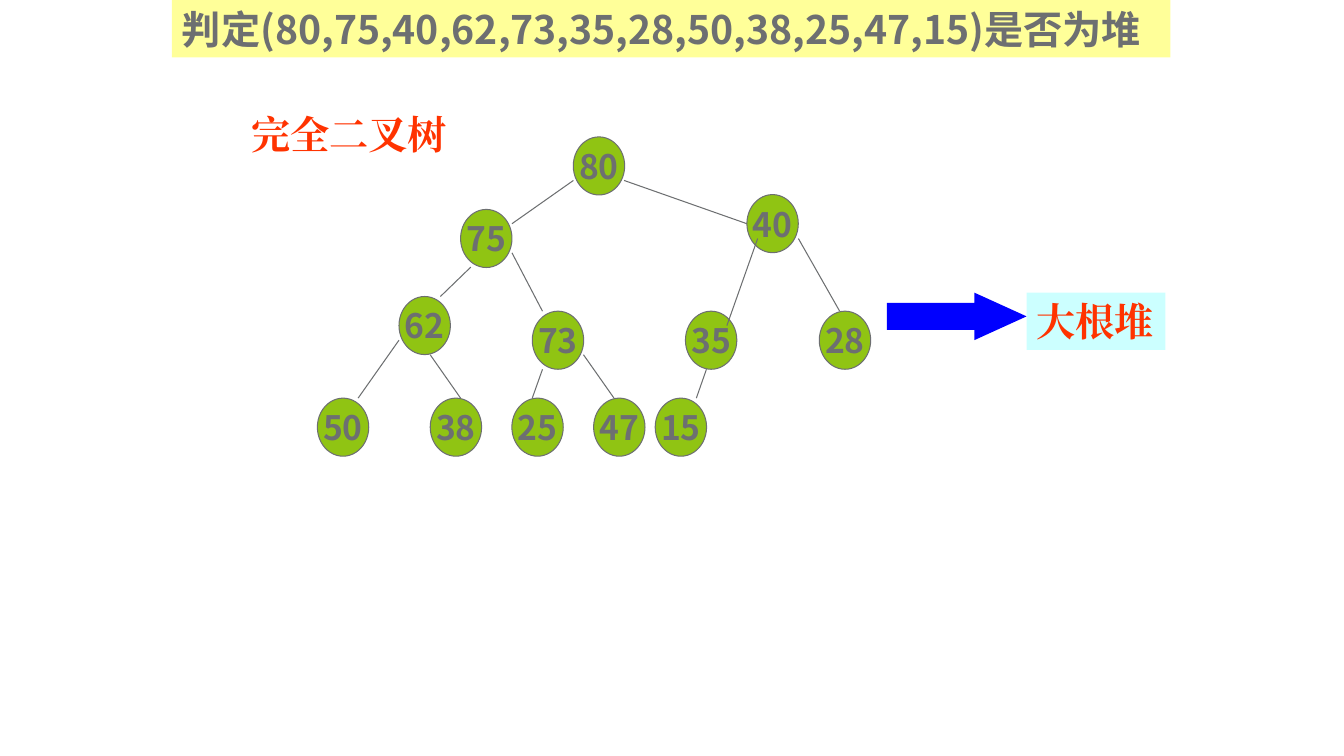
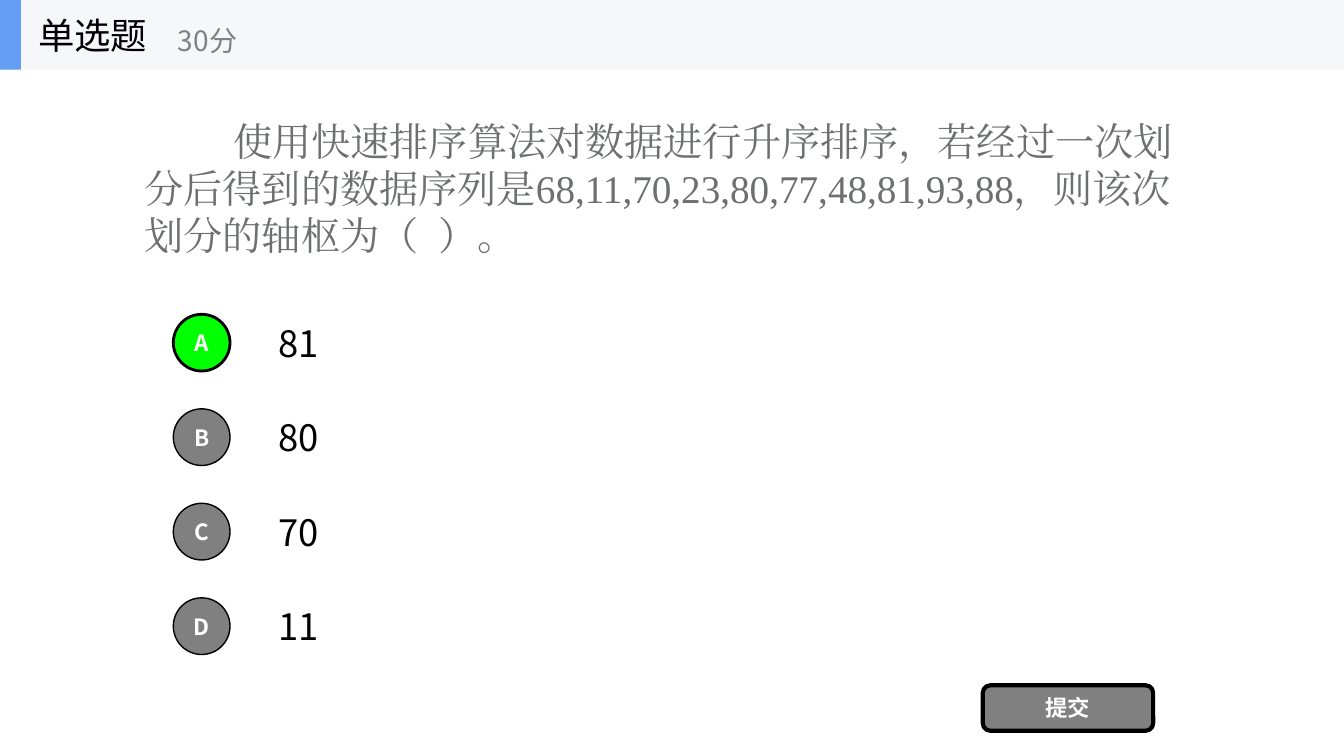
from dataclasses import dataclass
from typing import Any, NamedTuple

from lxml.etree import SubElement
from pptx import Presentation
from pptx.dml.color import RGBColor
from pptx.enum.shapes import MSO_CONNECTOR, MSO_SHAPE
from pptx.enum.text import MSO_ANCHOR, MSO_AUTO_SIZE, PP_ALIGN
from pptx.oxml.ns import qn
from pptx.util import Pt


@dataclass(frozen=True)
class Theme:
    sans: str = "Noto Sans CJK SC"
    serif: str = "Times New Roman"
    gray: str = "6D6F71"
    black: str = "000000"
    white: str = "FFFFFF"
    red: str = "FF3300"
    node: str = "90C413"
    arrow: str = "0000FF"
    title_fill: str = "FFFF99"
    result_fill: str = "CCFFFF"
    header_fill: str = "F6F7F8"
    header_stripe: str = "639EF4"
    button: str = "808080"
    correct: str = "00FF00"
    heading_size: float = 28
    option_size: float = 26
    node_size: float = 24
    score_size: float = 20
    button_size: float = 16


class Box(NamedTuple):
    left: float
    top: float
    width: float
    height: float


class TextStyle(NamedTuple):
    size: float
    color: str
    name: str
    bold: bool = False


class Node(NamedTuple):
    value: int
    left: float
    top: float


class Edge(NamedTuple):
    start_x: float
    start_y: float
    end_x: float
    end_y: float


class Option(NamedTuple):
    letter: str
    answer: str
    correct: bool = False


THEME = Theme()
SLIDE_WIDTH, SLIDE_HEIGHT = 960, 540
HEADER_HEIGHT = 49.7
NODE_WIDTH, NODE_HEIGHT = 36.7, 41.5

HEADING = TextStyle(THEME.heading_size, THEME.gray, THEME.sans, True)
LABEL = TextStyle(THEME.heading_size, THEME.red, THEME.serif, True)
NODE_TEXT = TextStyle(THEME.node_size, THEME.gray, THEME.sans, True)
QUESTION = TextStyle(THEME.heading_size, THEME.gray, THEME.serif)
OPTION_TEXT = TextStyle(THEME.option_size, THEME.black, THEME.sans)
SCORE = TextStyle(THEME.score_size, THEME.button, THEME.sans)
BUTTON_TEXT = TextStyle(THEME.button_size, THEME.white, THEME.sans, True)

UPPER_TOP, LEAF_TOP = 222.3, 284.4
NODES = [
    Node(80, 409.5, 97.8),
    Node(75, 329, 149.6), Node(40, 533.5, 139),
    Node(62, 285, 211.8), Node(73, 380.2, UPPER_TOP),
    Node(35, 489.6, UPPER_TOP), Node(28, 585.2, UPPER_TOP),
    Node(50, 226.7, LEAF_TOP), Node(38, 307.3, LEAF_TOP), Node(25, 365.6, LEAF_TOP),
    Node(47, 424, LEAF_TOP), Node(15, 468, LEAF_TOP),
]
EDGES = [
    Edge(409.6, 128.9, 365.7, 159.8), Edge(445.8, 128.9, 533.5, 159.8),
    Edge(336.3, 190.8, 314.6, 211.8), Edge(365.7, 180.6, 387.5, UPPER_TOP),
    Edge(541.2, 170.4, 519.2, 232.6), Edge(570.3, 170.4, 599.8, UPPER_TOP),
    Edge(285, 243, 255.8, LEAF_TOP), Edge(307.3, 253.4, 329, LEAF_TOP),
    Edge(387.5, 263.8, 380.2, LEAF_TOP), Edge(416.8, 253.4, 438.6, LEAF_TOP),
    Edge(504.6, 263.8, 497.4, LEAF_TOP),
]
OPTIONS = [Option("A", "81", True), Option("B", "80"), Option("C", "70"), Option("D", "11")]


def apply(target: Any, values: dict[str, Any]) -> None:
    for name, value in values.items():
        setattr(target, name, value)


def place(shape: Any, box: Box) -> None:
    apply(shape, {name: Pt(value) for name, value in box._asdict().items()})


def fill_shape(shape: Any, color: str) -> None:
    shape.fill.solid()
    shape.fill.fore_color.rgb = RGBColor.from_string(color)


def write(
    shape: Any,
    text: str,
    style: TextStyle,
    align: PP_ALIGN = PP_ALIGN.LEFT,
    anchor: MSO_ANCHOR = MSO_ANCHOR.MIDDLE,
    wrap: bool = True,
    first_indent: float | None = None,
) -> None:
    """Set one paragraph; a first indent also removes the inherited bullet."""
    frame = shape.text_frame
    frame.text = text
    apply(frame, {"word_wrap": wrap, "auto_size": MSO_AUTO_SIZE.NONE, "vertical_anchor": anchor})
    paragraph = frame.paragraphs[0]
    apply(paragraph, {"alignment": align, "space_before": Pt(0)})
    if first_indent is not None:
        properties = paragraph._p.get_or_add_pPr()
        properties.set("marL", "0")
        properties.set("indent", str(Pt(first_indent)))
        SubElement(properties, qn("a:buNone"))
    run = paragraph.runs[0]
    apply(run.font, {"size": Pt(style.size), "bold": style.bold, "name": style.name})
    run.font.color.rgb = RGBColor.from_string(style.color)
    SubElement(run._r.get_or_add_rPr(), qn("a:ea")).set("typeface", style.name)


def add_text(slide: Any, box: Box, text: str, style: TextStyle, **layout: Any) -> None:
    shape = slide.shapes.add_textbox(*map(Pt, box))
    write(shape, text, style, **layout)


def add_shape(
    slide: Any, kind: MSO_SHAPE, box: Box, fill: str, line: str | None = None, line_width: float = 0.75
) -> Any:
    shape = slide.shapes.add_shape(kind, *map(Pt, box))
    shape.shadow.inherit = False
    fill_shape(shape, fill)
    if line is None:
        shape.line.fill.background()
    else:
        shape.line.color.rgb = RGBColor.from_string(line)
        shape.line.width = Pt(line_width)
    return shape


def add_edge(slide: Any, edge: Edge) -> None:
    connector = slide.shapes.add_connector(MSO_CONNECTOR.STRAIGHT, *map(Pt, edge))
    connector.line.color.rgb = RGBColor.from_string(THEME.gray)
    connector.line.width = Pt(0.75)
    SubElement(connector._element.spPr, qn("a:effectLst"))


def add_title(slide: Any, box: Box, fill: str, text: str, style: TextStyle, **layout: Any) -> Any:
    title = slide.shapes.title
    place(title, box)
    fill_shape(title, fill)
    write(title, text, style, **layout)
    return title


def add_button(slide: Any, kind: MSO_SHAPE, box: Box, text: str, fill: str, line_width: float) -> None:
    button = add_shape(slide, kind, box, fill, THEME.black, line_width)
    apply(button.text_frame, {"margin_left": 0, "margin_right": 0})
    write(button, text, BUTTON_TEXT, align=PP_ALIGN.CENTER)


def build_heap_slide(presentation: Any) -> None:
    slide = presentation.slides.add_slide(presentation.slide_layouts[5])
    add_title(slide, Box(122.8, 0, 713.2, 41), THEME.title_fill,
              "判定(80,75,40,62,73,35,28,50,38,25,47,15)是否为堆", HEADING, anchor=MSO_ANCHOR.TOP)
    for node in NODES:
        box = Box(node.left, node.top, NODE_WIDTH, NODE_HEIGHT)
        circle = add_shape(slide, MSO_SHAPE.OVAL, box, THEME.node, THEME.gray)
        write(circle, str(node.value), NODE_TEXT, align=PP_ALIGN.CENTER, wrap=False)
    for edge in EDGES:
        add_edge(slide, edge)
    add_text(slide, Box(172.5, 75.6, 155.5, 41), "完全二叉树", LABEL, anchor=MSO_ANCHOR.TOP, wrap=False)
    arrow = add_shape(slide, MSO_SHAPE.RIGHT_ARROW, Box(633.5, 209, 99.8, 34), THEME.arrow)
    arrow.adjustments[0] = 0.57
    arrow.adjustments[1] = 1.1
    result = add_shape(slide, MSO_SHAPE.RECTANGLE, Box(733.3, 209, 99.2, 41), THEME.result_fill)
    write(result, "大根堆", LABEL, anchor=MSO_ANCHOR.TOP, wrap=False)


def build_question_slide(presentation: Any) -> None:
    slide = presentation.slides.add_slide(presentation.slide_layouts[1])
    title = add_title(slide, Box(0, 0, SLIDE_WIDTH, HEADER_HEIGHT), THEME.header_fill, "单选题", OPTION_TEXT)
    title.text_frame.margin_left = Pt(27.2)
    add_shape(slide, MSO_SHAPE.RECTANGLE, Box(0, 0, 15, HEADER_HEIGHT), THEME.header_stripe)
    add_text(slide, Box(120, 9, 180, 40), "30分", SCORE, wrap=False)

    question = slide.placeholders[1]
    place(question, Box(96, HEADER_HEIGHT, 768, 168.5))
    write(question,
          "使用快速排序算法对数据进行升序排序，若经过一次划分后得到的数据序列是"
          "68,11,70,23,80,77,48,81,93,88，则该次划分的轴枢为（  ）。",
          QUESTION, first_indent=63.4)

    first_top, pitch, circle_size = 219.5, 67.5, 40.5
    for index, option in enumerate(OPTIONS):
        top = first_top + index * pitch
        add_text(slide, Box(192, top, 672, 50.5), option.answer, OPTION_TEXT)
        add_button(slide, MSO_SHAPE.OVAL, Box(123.8, top + 5, circle_size, circle_size), option.letter,
                   THEME.correct if option.correct else THEME.button, 2 if option.correct else 1)
    add_button(slide, MSO_SHAPE.ROUNDED_RECTANGLE, Box(702, 489.5, 121.7, 32.5), "提交", THEME.button, 3)


def main() -> None:
    presentation = Presentation()
    apply(presentation, {"slide_width": Pt(SLIDE_WIDTH), "slide_height": Pt(SLIDE_HEIGHT)})
    build_heap_slide(presentation)
    build_question_slide(presentation)
    presentation.save("out.pptx")


if __name__ == "__main__":
    main()
